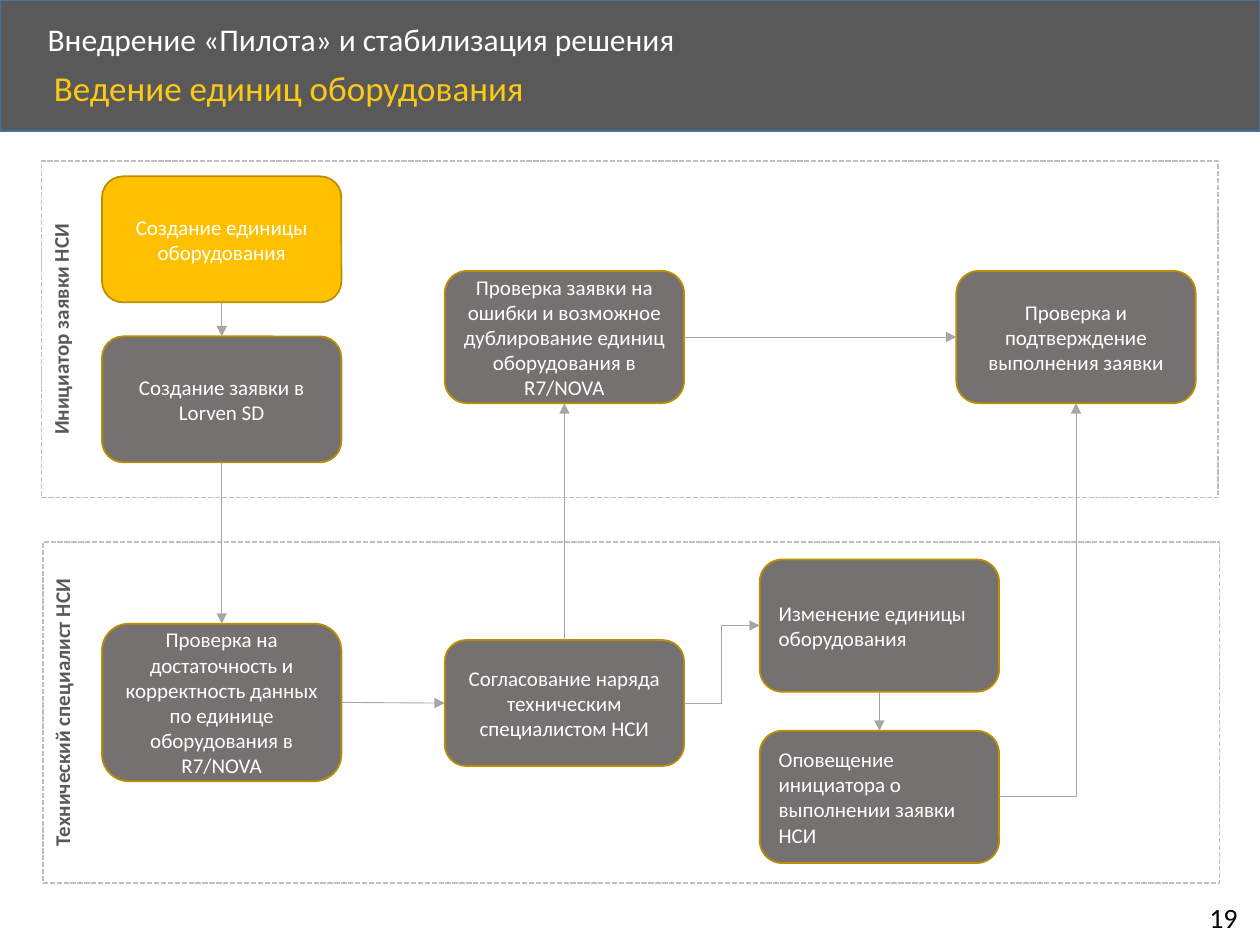
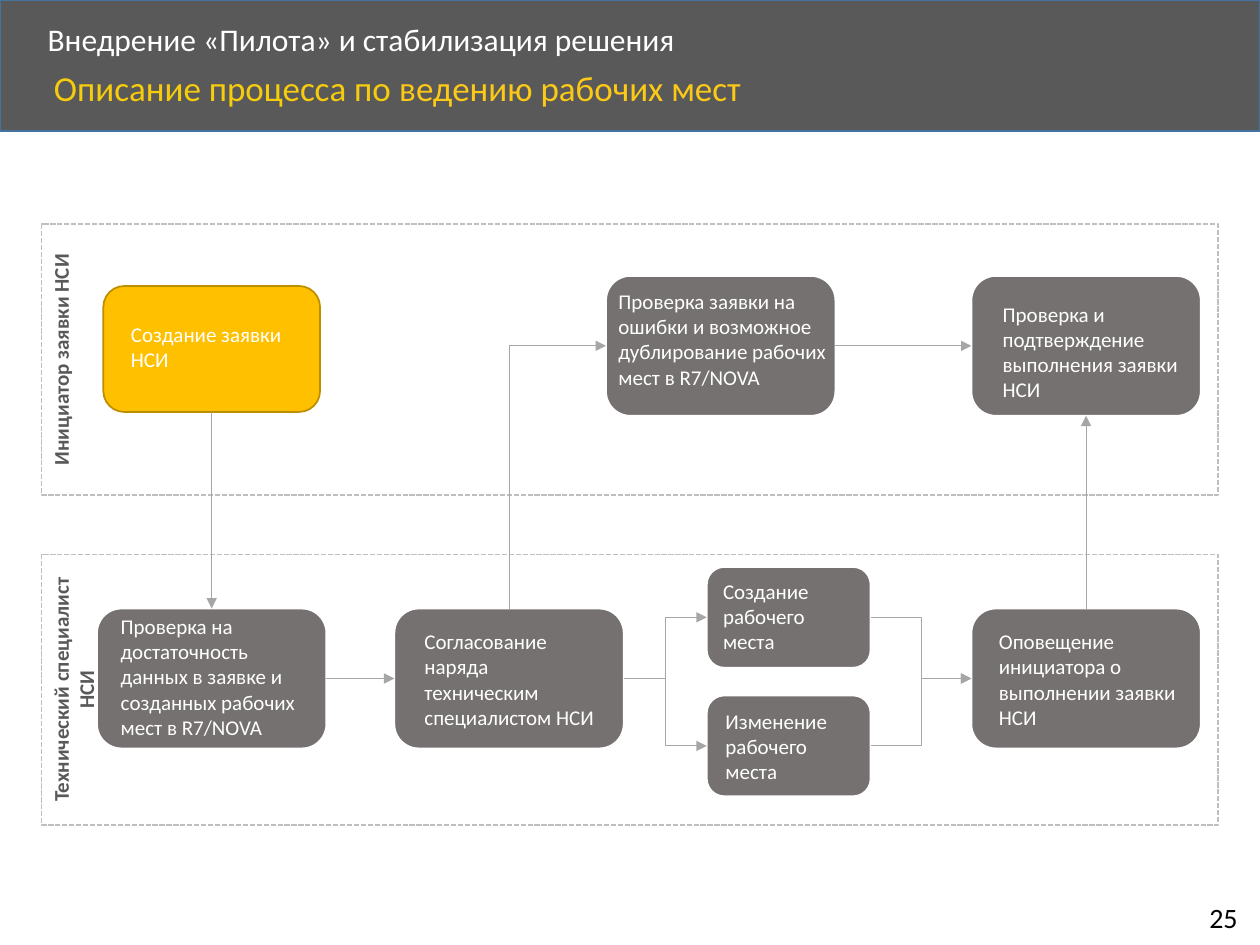
from dataclasses import dataclass

from lxml.etree import SubElement
from pptx import Presentation
from pptx.dml.color import RGBColor
from pptx.enum.dml import MSO_LINE_DASH_STYLE as Dash
from pptx.enum.shapes import MSO_AUTO_SHAPE_TYPE as Shape, MSO_CONNECTOR as Link
from pptx.enum.text import MSO_VERTICAL_ANCHOR as Anchor, PP_PARAGRAPH_ALIGNMENT as Align
from pptx.oxml.ns import qn
from pptx.util import Inches, Pt


@dataclass(frozen=True)
class Theme:
    font: str = "Calibri"
    band: str = "595959"
    band_edge: str = "43739E"
    white: str = "FFFFFF"
    black: str = "000000"
    accent: str = "FCC917"
    accent_deep: str = "F6CC0C"
    start: str = "FFC000"
    step: str = "767171"
    gold_edge: str = "BD8E00"
    lane_edge: str = "BFBFBF"
    arrow: str = "A6A6A6"
    heading_size: int = 18
    subtitle_size: int = 20
    number_size: int = 16
    body_size: int = 12


theme = Theme()
TOP, LEFT, BOTTOM, RIGHT = range(4)
SECTION = "Внедрение «Пилота» и стабилизация решения"
LANE_NAMES = ["Инициатор заявки НСИ", "Технический специалист НСИ"]


def write(box, spans, size, align=Align.LEFT, bold=None, spacing=None, **frame_format):
    frame = box.text_frame
    for name, value in {"word_wrap": True, **frame_format}.items():
        setattr(frame, name, value)
    para = frame.paragraphs[0]
    para.alignment = align
    para.line_spacing = spacing
    for text, color in spans:
        span = para.add_run()
        span.text = text
        for name, value in {"name": theme.font, "size": Pt(size), "bold": bold}.items():
            setattr(span.font, name, value)
        span.font.color.rgb = RGBColor.from_string(color)


def draw(page, kind, area, fill, edge):
    box = page.shapes.add_shape(kind, *map(Inches, area))
    box.shadow.inherit = False
    if fill:
        box.fill.solid()
        box.fill.fore_color.rgb = RGBColor.from_string(fill)
    else:
        box.fill.background()
    box.line.color.rgb = RGBColor.from_string(edge)
    box.line.width = Pt(1)
    return box


equipment = {
    "number": "19",
    "subtitle": [("Ведение единиц оборудования", theme.accent)],
    "lanes": [(0.33, 1.28, 9.34, 2.67), (0.34, 4.3, 9.34, 2.71)],
    "edge": theme.gold_edge,
    "corner": 0.17,
    "steps": {
        "start": (0.81, 1.4, 1.9, 1),
        "request": (0.81, 2.67, 1.9, 1),
        "check": (0.81, 4.95, 1.9, 1.25),
        "approve": (3.53, 5.08, 1.9, 1),
        "review": (3.53, 2.15, 1.9, 1.05),
        "confirm": (7.59, 2.15, 1.9, 1.05),
        "change": (6.03, 4.44, 1.9, 1.05),
        "notify": (6.03, 5.8, 1.9, 1.05),
    },
    "texts": {
        "start": "Создание единицы оборудования",
        "request": "Создание заявки в Lorven SD",
        "check": "Проверка на достаточность и корректность данных по единице оборудования в R7/NOVA",
        "approve": "Согласование наряда техническим специалистом НСИ",
        "review": "Проверка заявки на ошибки и возможное дублирование единиц оборудования в R7/NOVA",
        "confirm": "Проверка и подтверждение выполнения заявки",
        "change": "Изменение единицы оборудования",
        "notify": "Оповещение инициатора о выполнении заявки НСИ",
    },
    "left_aligned": {"change", "notify"},
    "labels": {},
    "links": [
        ("straight", "start", BOTTOM, "request", TOP),
        ("straight", "request", BOTTOM, "check", TOP),
        ("straight", "check", RIGHT, "approve", LEFT),
        ("straight", "approve", TOP, "review", BOTTOM),
        ("straight", "review", RIGHT, "confirm", LEFT),
        ("elbow", "approve", RIGHT, "change", LEFT),
        ("straight", "change", BOTTOM, "notify", TOP),
        ("corner", "notify", RIGHT, "confirm", BOTTOM),
    ],
}

workplaces = {
    "number": "25",
    "subtitle": [
        ("Описание процесса по ", theme.accent_deep),
        ("ведению рабочих мест", theme.accent),
    ],
    "lanes": [(0.33, 1.78, 9.34, 2.15), (0.33, 4.4, 9.34, 2.15)],
    "edge": theme.white,
    "corner": 0.174,
    "steps": {
        "start": (0.82, 2.27, 1.72, 1),
        "check": (0.77, 4.83, 1.82, 1.11),
        "approve": (3.13, 4.83, 1.82, 1.11),
        "review": (4.81, 2.19, 1.82, 1.11),
        "confirm": (7.71, 2.19, 1.82, 1.11),
        "notify": (7.71, 4.83, 1.82, 1.11),
        "create": (5.61, 4.5, 1.3, 0.8),
        "change": (5.61, 5.52, 1.3, 0.8),
    },
    "texts": {
        "start": "Создание заявки НСИ",
        "check": "Проверка на достаточность данных в заявке и созданных рабочих мест в R7/NOVA",
        "approve": "Согласование наряда техническим специалистом НСИ",
        "review": "Проверка заявки на ошибки и возможное дублирование рабочих мест в R7/NOVA",
        "confirm": "Проверка и подтверждение выполнения заявки НСИ",
        "notify": "Оповещение инициатора о выполнении заявки НСИ",
        "create": "Создание рабочего места",
        "change": "Изменение рабочего места",
    },
    "left_aligned": set(),
    "labels": {
        "start": (0.94, 2.5, 1.49, 0.5),
        "check": (0.86, 4.82, 1.76, 1.11),
        "approve": (3.27, 4.94, 1.61, 0.91),
        "review": (4.81, 2.24, 1.92, 1.21),
        "confirm": (7.86, 2.34, 1.67, 1.11),
        "notify": (7.83, 4.94, 1.8, 0.91),
        "create": (5.64, 4.54, 1.26, 0.71),
        "change": (5.66, 5.57, 1.2, 0.71),
    },
    "links": [
        ("straight", "start", BOTTOM, "check", TOP),
        ("straight", "check", RIGHT, "approve", LEFT),
        ("corner_back", "review", LEFT, "approve", TOP),
        ("elbow", "approve", RIGHT, "create", LEFT),
        ("elbow", "approve", RIGHT, "change", LEFT),
        ("elbow", "create", RIGHT, "notify", LEFT),
        ("elbow", "change", RIGHT, "notify", LEFT),
        ("straight", "review", RIGHT, "confirm", LEFT),
        ("straight", "notify", TOP, "confirm", BOTTOM),
    ],
}

deck = Presentation()
deck.slide_width, deck.slide_height = Inches(10), Inches(7.5)

for process in (equipment, workplaces):
    page = deck.slides.add_slide(deck.slide_layouts[6])
    draw(page, Shape.RECTANGLE, (0, 0, 10, 1.04), theme.band, theme.band_edge)

    heading = page.shapes.add_textbox(*map(Inches, (0.28, 0.14, 8.07, 0.38)))
    write(heading, [(SECTION, theme.white)], theme.heading_size,
          spacing=0.9, vertical_anchor=Anchor.MIDDLE)
    subtitle = page.shapes.add_textbox(*map(Inches, (0.33, 0.52, 6.5, 0.34)))
    write(subtitle, process["subtitle"], theme.subtitle_size, spacing=0.9)
    number = page.shapes.add_textbox(*map(Inches, (9.5, 7.1, 0.46, 0.37)))
    write(number, [(process["number"], theme.black)], theme.number_size, word_wrap=False)

    for area, lane_name in zip(process["lanes"], LANE_NAMES):
        lane = draw(page, Shape.RECTANGLE, area, None, theme.lane_edge)
        lane.line.dash_style = Dash.SQUARE_DOT
        margins = {f"margin_{side}": Inches(0.05) for side in ("left", "top", "right", "bottom")}
        write(lane, [(lane_name, theme.band)], theme.body_size, Align.CENTER, bold=True,
              vertical_anchor=Anchor.TOP, **margins)
        lane.text_frame._txBody.bodyPr.set("vert", "vert270")

    boxes = {}
    for step, area in process["steps"].items():
        is_start = step == "start"
        box = draw(page, Shape.ROUNDED_RECTANGLE, area,
                   theme.start if is_start else theme.step,
                   theme.gold_edge if is_start else process["edge"])
        if not is_start:
            box.adjustments[0] = process["corner"]
        boxes[step] = box

    for kind, source, source_side, target, target_side in process["links"]:
        link_type = Link.STRAIGHT if kind == "straight" else Link.ELBOW
        link = page.shapes.add_connector(link_type, 0, 0, 0, 0)
        link.begin_connect(boxes[source], source_side)
        link.end_connect(boxes[target], target_side)
        link.line.color.rgb = RGBColor.from_string(theme.arrow)
        link.line.width = Pt(0.5)
        properties = link._element.spPr
        if kind.startswith("corner"):
            properties.find(qn("a:prstGeom")).set("prst", "bentConnector2")
        tip = "a:headEnd" if kind == "corner_back" else "a:tailEnd"
        SubElement(properties.find(qn("a:ln")), qn(tip), type="triangle")
        SubElement(properties, qn("a:effectLst"))

    for step, text in process["texts"].items():
        spans = [(text, theme.white)]
        if step in process["labels"]:
            label = page.shapes.add_textbox(*map(Inches, process["labels"][step]))
            write(label, spans, theme.body_size)
        else:
            align = Align.LEFT if step in process["left_aligned"] else Align.CENTER
            write(boxes[step], spans, theme.body_size, align, vertical_anchor=Anchor.MIDDLE)

deck.save("out.pptx")
